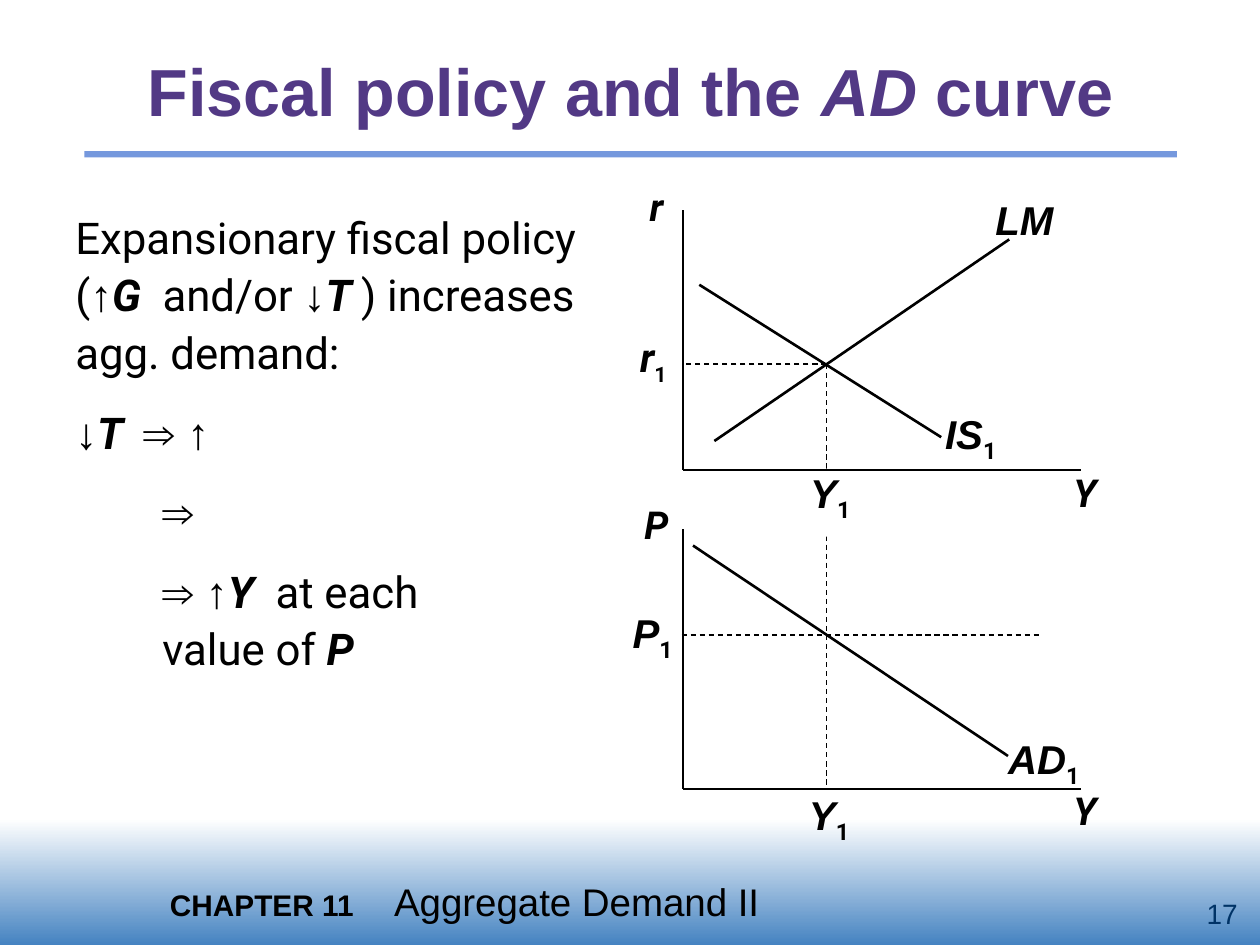
from lxml import etree
from pptx import Presentation
from pptx.dml.color import RGBColor
from pptx.enum.dml import MSO_LINE
from pptx.enum.shapes import MSO_CONNECTOR, MSO_SHAPE
from pptx.enum.text import MSO_ANCHOR as ANCHOR, PP_ALIGN as ALIGN
from pptx.oxml.ns import qn
from pptx.util import Inches, Pt

BLACK, WHITE, PURPLE = "000000", "FFFFFF", "523985"
RULE_BLUE, FOOTER_BLUE, NAVY = "7598DD", "4583C1", "003366"
SANS, BODY = "Arial", "Roboto"
PADDED = (0.1, 0.05, 0.1, 0.05)
FLUSH = (0, 0, 0, 0)
PANEL_STEP = 2.53


def color(value):
    return RGBColor.from_string(value)


class SlideBuilder:
    """Holds the default text format and the slide being filled."""

    def __init__(self, slide):
        self.slide = slide
        self.text_format = {"name": SANS, "size": 22, "color": BLACK,
                            "bold": False, "italic": False}

    def rect(self, box, fill):
        shape = self.slide.shapes.add_shape(MSO_SHAPE.RECTANGLE, *map(Inches, box))
        shape.shadow.inherit = False
        shape.line.fill.background()
        if isinstance(fill, tuple):
            shape.fill.gradient()
            shape.fill.gradient_angle = 270
            for stop, value in zip(shape.fill.gradient_stops, fill):
                stop.color.rgb = color(value)
        else:
            shape.fill.solid()
            shape.fill.fore_color.rgb = color(fill)
        return shape

    def line(self, start, end, width=1, dashed=False):
        line = self.slide.shapes.add_connector(
            MSO_CONNECTOR.STRAIGHT, *map(Inches, start + end))
        line.line.color.rgb = color(BLACK)
        line.line.width = Pt(width)
        if dashed:
            line.line.dash_style = MSO_LINE.DASH
        etree.SubElement(line._element.spPr, qn("a:effectLst"))

    def run(self, paragraph, text, **changes):
        run = paragraph.add_run()
        run.text = text
        values = {**self.text_format, **changes}
        run.font.color.rgb = color(values.pop("color"))
        run.font.size = Pt(values.pop("size"))
        if values.pop("subscript", False):
            run._r.get_or_add_rPr().set("baseline", "-25000")
        for attribute, value in values.items():
            setattr(run.font, attribute, value)

    def text(self, box, runs=(), insets=PADDED, align=ALIGN.LEFT,
             anchor=ANCHOR.TOP, fill=None):
        """Add a text box whose first paragraph has the given runs."""
        holder = self.slide.shapes.add_textbox(*map(Inches, box))
        if fill:
            holder.fill.solid()
            holder.fill.fore_color.rgb = color(fill)
        frame = holder.text_frame
        frame.word_wrap = True
        frame.vertical_anchor = anchor
        for side, inset in zip(("left", "top", "right", "bottom"), insets):
            setattr(frame, f"margin_{side}", Inches(inset))
        paragraph = frame.paragraphs[0]
        paragraph.alignment = align
        for words, changes in runs:
            self.run(paragraph, words, **changes)
        return frame

    def label(self, symbol, box, subscript="", font=SANS, sub_size=23, fill=None):
        """Add a curve or axis-value label, with an optional subscript."""
        runs = [(symbol, dict(name=font, size=23, bold=True, italic=True))]
        if subscript:
            runs.append((subscript, dict(name=BODY, size=sub_size, bold=True,
                                         subscript=True)))
        self.text(box, runs, FLUSH, fill=fill)

    def panel(self, vertical_name, drop):
        """Draw a pair of axes, moved down by drop."""
        left, right, top, bottom = 5.42, 8.58, 1.67 + drop, 3.73 + drop
        self.line((left, top), (left, bottom))
        self.line((left, bottom), (right, bottom))
        axis_name = dict(name=BODY, bold=True, italic=True)
        self.text((8.42, 3.67 + drop, 0.58, 0.47), [("Y", axis_name)])
        self.text((5, 1.4 + drop, 0.42, 0.47), [(vertical_name, axis_name)],
                  align=ALIGN.CENTER)


def add_frame(builder):
    """Add the footer, the title and its rule."""
    builder.rect((0, 6.5, 10, 1), (WHITE, FOOTER_BLUE))
    builder.rect((0.67, 1.2, 8.67, 0.05), RULE_BLUE)
    footer = builder.text((1.25, 6.92, 8.33, 0.47), [
        ("CHAPTER 11", dict(size=17, bold=True)), ("\tAggregate Demand II", {})])
    tabs = etree.SubElement(footer.paragraphs[0]._p.get_or_add_pPr(), qn("a:tabLst"))
    etree.SubElement(tabs, qn("a:tab"), pos=str(Inches(1.78)), algn="l")
    heading = dict(size=38, color=PURPLE, bold=True)
    builder.text((0.42, 0.25, 9.17, 0.92), [
        ("Fiscal policy and the ", heading), ("AD", {**heading, "italic": True}),
        (" curve", heading)], align=ALIGN.CENTER, anchor=ANCHOR.MIDDLE)


def add_diagrams(builder):
    """Add the IS-LM panel above the AD panel."""
    builder.line((6.56, 2.89), (6.56, 6.26), 0.75, dashed=True)
    builder.label("Y", (6.43, 3.72, 0.42, 0.54), "1", fill=WHITE)
    builder.label("Y", (6.42, 6.27, 0.42, 0.44), "1")
    builder.line((6.56, 2.89), (5.41, 2.89), 0.75, dashed=True)
    builder.label("r", (5.08, 2.64, 0.42, 0.43), "1", BODY, 21)

    for step, vertical_name in enumerate("rP"):
        builder.panel(vertical_name, step * PANEL_STEP)

    curves = [
        ("IS", "1", (5.55, 2.26), (7.47, 3.47), (7.5, 3.25, 0.58, 0.54)),
        ("LM", "", (5.67, 3.5), (8.01, 1.9), (7.9, 1.55, 0.67, 0.38)),
        ("AD", "1", (5.5, 4.33), (8, 6), (8, 5.83, 0.75, 0.54)),
    ]
    for name, subscript, start, end, label_box in curves:
        builder.line(start, end, 1.5)
        builder.label(name, label_box, subscript)

    builder.line((5.41, 5.04), (8.25, 5.04), 0.75, dashed=True)
    builder.label("P", (5.02, 4.83, 0.42, 0.54), "1")


def add_argument(builder):
    """Add the chain of reasoning on the left."""
    plain = dict(name=BODY, size=25)
    symbol = dict(name=SANS, size=25)
    variable = {**plain, "bold": True, "italic": True}
    steps = [
        (0, [("Expansionary fiscal policy (", plain), ("↑", symbol),
             ("G ", variable), (" and/or ", plain), ("↓", symbol),
             ("T ", variable), (") increases agg. demand:", plain)]),
        (0, [("↓", symbol), ("T ", variable), (" ", plain), ("⇒ ↑", symbol)]),
        (0.69, [("⇒", symbol)]),
        (0.69, [("⇒ ↑", symbol), ("Y ", variable), (" at each", plain), None,
                ("value of ", plain), ("P", variable)]),
    ]
    frame = builder.text((0.5, 1.58, 4.17, 4.33))
    for number, (indent, runs) in enumerate(steps):
        paragraph = frame.add_paragraph() if number else frame.paragraphs[0]
        paragraph.line_spacing = 1.1
        paragraph.space_before = Pt(12.5 if number else 0)
        properties = paragraph._p.get_or_add_pPr()
        properties.set("marL", str(Inches(indent)))
        properties.set("indent", "0")
        for part in runs:
            if part is None:
                paragraph.add_line_break()
            else:
                builder.run(paragraph, part[0], **part[1])


def main():
    deck = Presentation()
    deck.slide_width, deck.slide_height = Inches(10), Inches(7.5)
    builder = SlideBuilder(deck.slides.add_slide(deck.slide_layouts[6]))
    add_frame(builder)
    add_diagrams(builder)
    add_argument(builder)
    builder.text((8.67, 7.08, 1.25, 0.33), [("17", dict(size=16, color=NAVY))],
                 align=ALIGN.RIGHT, anchor=ANCHOR.MIDDLE)
    deck.save("out.pptx")


if __name__ == "__main__":
    main()
